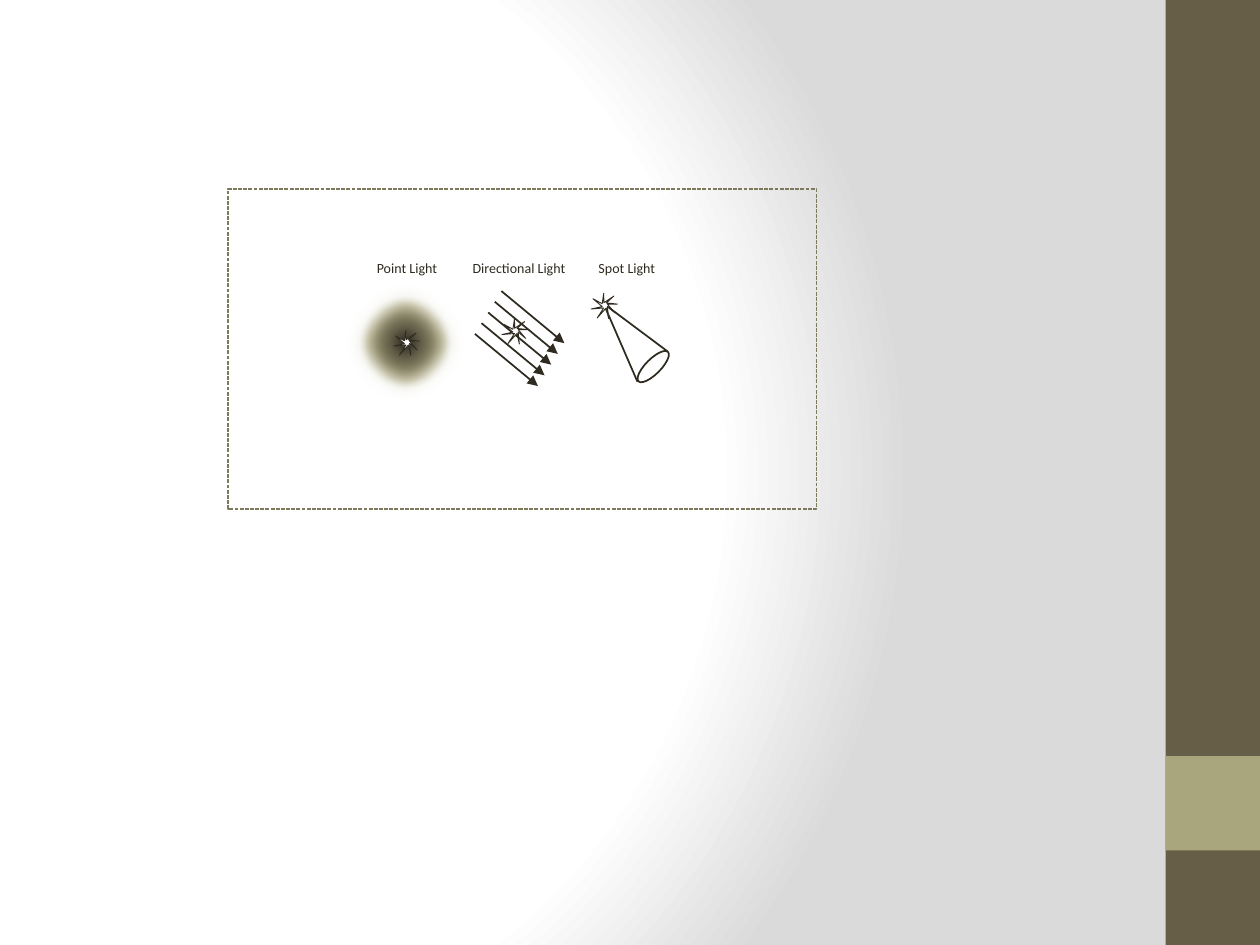
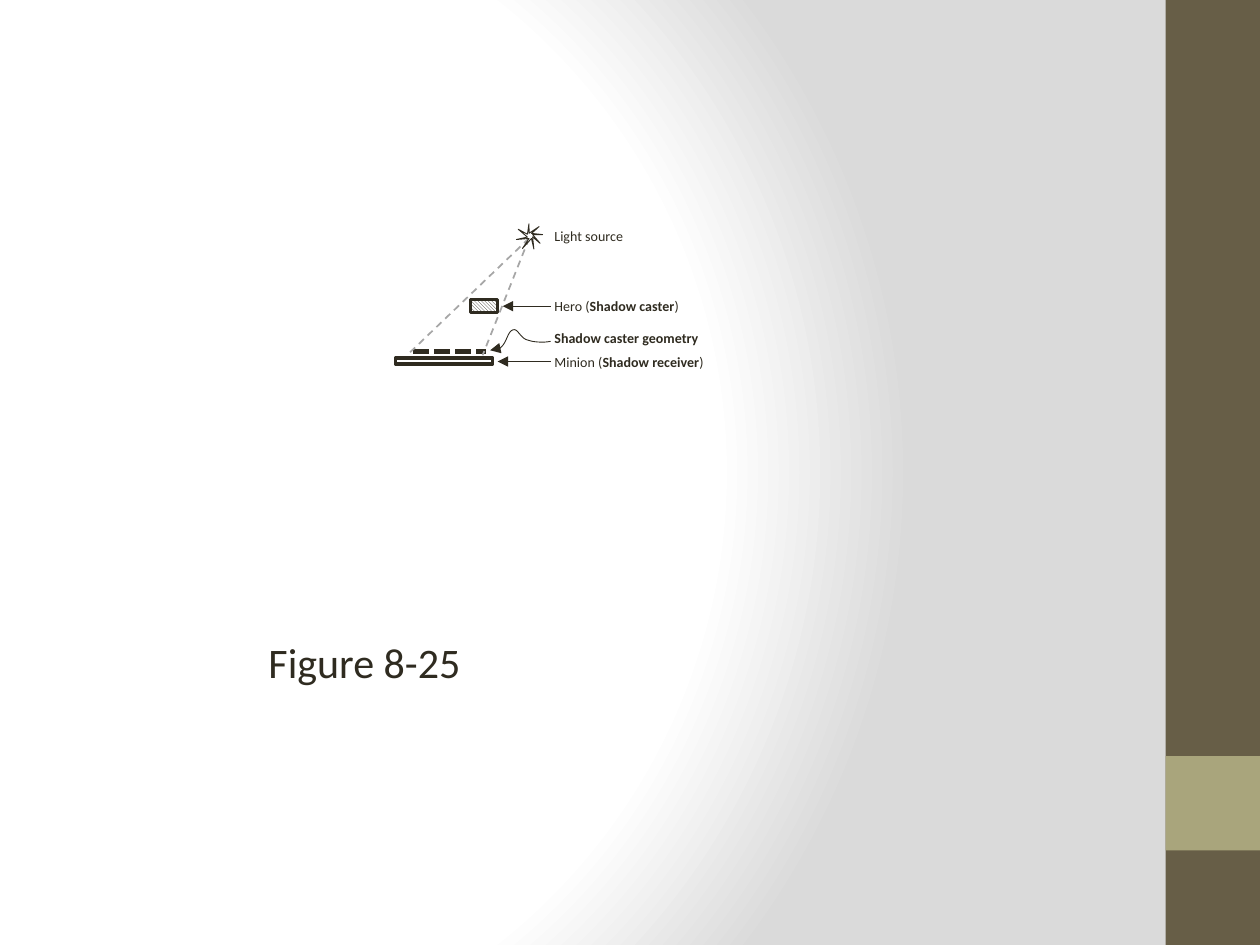
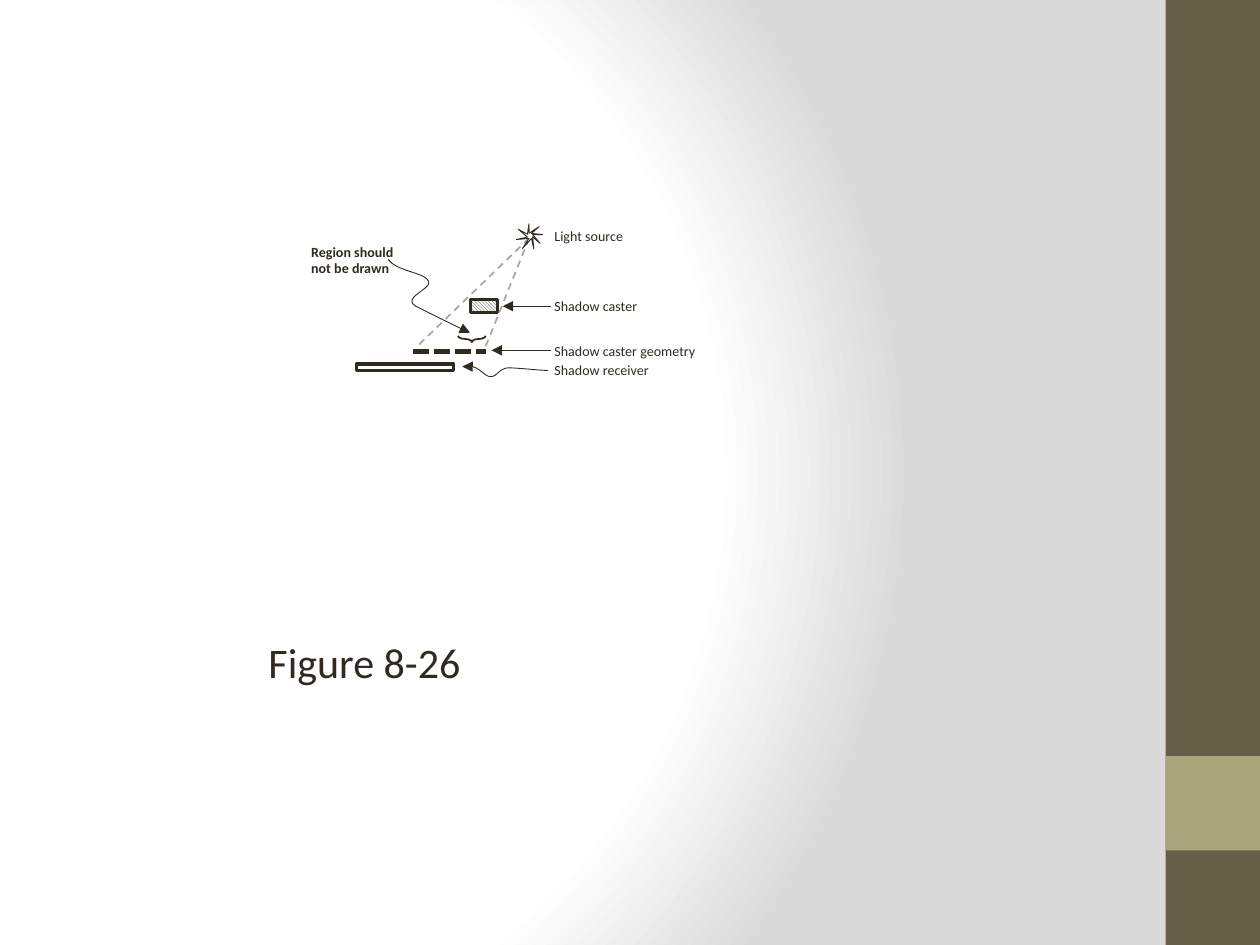
"""Builds three slides on light types and shadow casting."""
from itertools import chain
from lxml.etree import SubElement as Sub
from pptx import Presentation
from pptx.dml.color import RGBColor as Rgb
from pptx.enum.dml import MSO_LINE as Dash, MSO_PATTERN as Pat
from pptx.enum.shapes import MSO_CONNECTOR as Conn, MSO_SHAPE as Kind
from pptx.enum.text import MSO_ANCHOR as Anchor, MSO_AUTO_SIZE as Auto, PP_ALIGN as Align
from pptx.oxml.ns import qn
from pptx.util import Pt

INK, WHITE, GREY, FRAME = "2F2B20", "FFFFFF", "A6A6A6", "7D7A5C"
FONT = "Calibri"
BANDS = [((666, 0, 54, 540), "675E47"), ((666, 432, 54, 54), "A9A57C")]
BACK = [(0, WHITE), (75, WHITE), (100, "DADADA")], (20, 50, 100, 50)
GLOW = [(0, INK), (43, "ADA983"), (52, "DDDBCB")], (50, 50, 50, 50)
TITLE = (153.4, 360, 283, 36)
STAR = [(1, 3.1), (6.3, 6), (7.2, 0), (7.3, 5.4), (13, 1.6), (8.7, 5.5),
        (15, 6.2), (9.3, 6.2), (13.6, 11.2), (9.3, 7.5), (10, 14.4),
        (8.6, 8.4), (3.5, 14.1), (7.2, 8.4), (0, 9), (6.3, 7.6)]

LIGHTS = [((215.3, 144.7, 36.7), "Point Light"),
          ((270, 144.7, 54), "Directional Light"),
          ((342, 144.7, 36), "Spot Light")]
BEAMS = dict(count=5, start=(271.4, 190.8), step=(3.78, -6.12), span=(36, 29.8))
CONE = dict(tip=(344.9, 173.5), ends=[(364.3, 218.2), (381.6, 200.9)])

LAMP = (302.4, 136.1)
NOTE = 316.8
FIGURES = [
    dict(title="Figure 8-25",
         rays=[(232.6, 203), (275.8, 203)],
         plate=(226.1, 204.5),
         notes=[((NOTE, 126.7, 42.5), [("Light source", False)]),
                ((NOTE, 166.3, 79.2), [("Hero (", False), ("Shadow caster", True), (")", False)]),
                ((NOTE, 185, 87.8), [("Shadow caster geometry", True)]),
                ((NOTE, 198.7, 87.8), [("Minion (", False), ("Shadow receiver", True), (")", False)])],
         arrows=[(287.3, 175), (284.4, 206.6)],
         waves=[[(314.6, 195.1), (311.8, 195.8), (305.3, 195.8), (301.7, 194.4),
                 (297.4, 193.7), (295.9, 187.2), (293, 188.6),
                 (289.4, 189.4), (289.4, 200.2), (282.2, 200.2),
                 (281.5, 200.2), (280.8, 200.2), (280.1, 200.2)]],
         brace=None),
    dict(title="Figure 8-26",
         rays=[(237.6, 198.7), (277.2, 198.7)],
         plate=(203.8, 208.1),
         notes=[((NOTE, 126.7, 42.5), [("Light source", False)]),
                ((NOTE, 166.3, 97.2), [("Shadow caster", False)]),
                ((NOTE, 192.2, 103), [("Shadow caster geometry", False)]),
                ((NOTE, 203, 121), [("Shadow receiver", False)]),
                ((177.8, 135.4, 54), [("Region should not be drawn", True)])],
         arrows=[(287.3, 175), (280.8, 200.2)],
         waves=[[(221.8, 148.3), (227.5, 155.5), (242.6, 155.5), (244.8, 160.6),
                 (247.7, 164.9), (229, 169.9), (237.6, 175),
                 (246.2, 179.3), (263.5, 187.9), (268.6, 190.1)],
                [(313.2, 211.7), (308.2, 211.7), (295.9, 210.2), (290.2, 210.2),
                 (284.4, 211), (284.4, 215.3), (280.1, 215.3),
                 (275.8, 214.6), (272.9, 207.4), (264.2, 209.5)]],
         brace=(267.8, 185.8, 3.6, 15.8)),
]


def tint(code):
    return Rgb.from_string(code)


def pts(nums):
    return [Pt(n) for n in nums]


def blend(host, stops, rect):
    """Turn the solid fill of an element into a circular gradient."""
    solid = host.find(qn("a:solidFill"))
    grad = host.makeelement(qn("a:gradFill"), {"rotWithShape": "1"})
    row = Sub(grad, qn("a:gsLst"))
    for pos, code in stops:
        stop = Sub(row, qn("a:gs"), pos=str(pos * 1000))
        Sub(stop, qn("a:srgbClr"), val=code)
    way = Sub(grad, qn("a:path"), path="circle")
    Sub(way, qn("a:fillToRect"), **{k: str(v * 1000) for k, v in zip("ltrb", rect)})
    host.replace(solid, grad)


def ink(item, code, width, dash=None, tip=False):
    """Set the line of a shape or connector."""
    item.line.color.rgb = tint(code)
    item.line.width = Pt(width)
    if dash:
        item.line.dash_style = Dash.DASH
        item.element.find(".//" + qn("a:prstDash")).set("val", dash)
    if tip:
        Sub(item.element.find(".//" + qn("a:ln")), qn("a:tailEnd"), type="triangle")


def form(host, kind, box, fill=None, line=None):
    """Add a preset shape, plain unless a fill or line is given."""
    item = host.add_shape(kind, *pts(box))
    return dress(item, fill, line)


def dress(item, fill=None, line=None):
    item.shadow.inherit = False
    if fill:
        item.fill.solid()
        item.fill.fore_color.rgb = tint(fill)
    else:
        item.fill.background()
    if line:
        ink(item, *line)
    else:
        item.line.fill.background()
    return item


def link(host, start, end, *line):
    item = host.add_connector(Conn.STRAIGHT, *pts((*start, *end)))
    ink(item, *line)
    Sub(item.element.find(qn("p:spPr")), qn("a:effectLst"))


def trace(host, dots, fill, line, close):
    """Add an outline through the given points."""
    dots = [pts(dot) for dot in dots]
    pen = host.build_freeform(*dots[0], scale=1.0)
    pen.add_line_segments(dots[1:], close=close)
    dress(pen.convert_to_shape(), fill, line)


def star(host, mid):
    trace(host, [(mid[0] - 7.3 + x, mid[1] - 8.2 + y) for x, y in STAR],
          WHITE, (INK, 0.5), True)


def bend(knots, steps=10):
    """Sample a chain of cubic curves."""
    def spot(four, t):
        mix = ((1 - t) ** 3, 3 * t * (1 - t) ** 2, 3 * t * t * (1 - t), t ** 3)
        return tuple(sum(m * k[axis] for m, k in zip(mix, four)) for axis in (0, 1))
    curves = (knots[i:i + 4] for i in range(0, len(knots) - 1, 3))
    return [knots[0], *chain.from_iterable(
        [spot(four, n / steps) for n in range(1, steps + 1)] for four in curves)]


def write(item, runs, size):
    """Fill a text frame run by run."""
    frame = item.text_frame
    frame.word_wrap = True
    frame.auto_size = Auto.SHAPE_TO_FIT_TEXT
    frame.vertical_anchor = Anchor.TOP
    frame.margin_left = frame.margin_right = 0
    frame.margin_top = frame.margin_bottom = Pt(3.6)
    para = frame.paragraphs[0]
    para.alignment = Align.LEFT
    for words, bold in runs:
        run = para.add_run()
        run.text = words
        run.font.name, run.font.size, run.font.bold = FONT, Pt(size), bold
        run.font.color.rgb = tint(INK)


def note(host, place, runs):
    write(host.add_textbox(*pts((*place, 17.3))), runs, 8)


def theme(deck, page):
    """Put the backdrop and side bands on the master."""
    master = deck.slide_master
    master.background.fill.solid()
    blend(master.element.find(".//" + qn("p:bgPr")), *BACK)
    tree = master.element.find(".//" + qn("p:spTree"))
    for spot, (box, code) in enumerate(BANDS, 2):
        tree.insert(spot, form(page.shapes, Kind.RECTANGLE, box, code).element)


def lights(page):
    """Draw the three kinds of light."""
    host = page.shapes
    orb, sun, cone = (host.add_group_shape().shapes for _ in LIGHTS)
    glow = form(orb, Kind.OVAL, (195.8, 159.8, 72, 72), WHITE)
    props = glow.element.find(qn("p:spPr"))
    blend(props, *GLOW)
    Sub(props.find(qn("a:effectLst")), qn("a:softEdge"), rad=str(Pt(10)))
    star(orb, (232.1, 197))
    form(host, Kind.RECTANGLE, (130.3, 108, 336.2, 182.9), None, (FRAME, 0.75, "sysDash"))
    for place, words in LIGHTS:
        note(host, place, [(words, False)])
    for n in range(BEAMS["count"]):
        start = [a + n * d for a, d in zip(BEAMS["start"], BEAMS["step"])]
        end = [a + d for a, d in zip(start, BEAMS["span"])]
        link(sun, start, end, INK, 1, None, True)
    star(sun, (294.1, 190.4))
    form(cone, Kind.OVAL, (361.4, 205.2, 23.8, 8.6), None, (INK, 1)).rotation = 315
    for end in CONE["ends"]:
        link(cone, end, CONE["tip"], INK, 1)
    star(cone, (345.1, 175.8))


def figure(page, data):
    """Draw one shadow casting figure."""
    host = page.shapes
    head = host.title
    head.left, head.top, head.width, head.height = pts(TITLE)
    write(head, [(data["title"], False)], 24)
    link(host, (236.2, 200.9), (277.9, 200.9), INK, 3, "sysDash")
    for place, runs in data["notes"]:
        note(host, place, runs)
    hero = form(host, Kind.RECTANGLE, (268.6, 171.4, 15.8, 7.2), None, (INK, 1.75))
    hero.fill.patterned()
    hero.fill.pattern = Pat.LIGHT_DOWNWARD_DIAGONAL
    hero.fill.fore_color.rgb, hero.fill.back_color.rgb = tint(INK), tint(WHITE)
    for end in data["rays"]:
        link(host, LAMP, end, GREY, 1, "dash")
    form(host, Kind.RECTANGLE, (*data["plate"], 55.4, 3.6), None, (INK, 2))
    star(host, LAMP)
    for x, y in data["arrows"]:
        link(host, (314.6, y), (x, y), INK, 0.5, None, True)
    for knots in data["waves"]:
        trace(host, bend(knots), None, (INK, 0.5, None, True), False)
    if data["brace"]:
        brace = form(host, Kind.RIGHT_BRACE, data["brace"], None, (INK, 1))
        brace.adjustments[0], brace.adjustments[1] = 1.47, 0.5
        brace.rotation = 90


deck = Presentation()
deck.slide_width, deck.slide_height = Pt(720), Pt(540)
only, blank = deck.slide_layouts[5], deck.slide_layouts[6]
first = deck.slides.add_slide(blank)
theme(deck, first)
lights(first)
for data in FIGURES:
    figure(deck.slides.add_slide(only), data)
deck.save("out.pptx")
